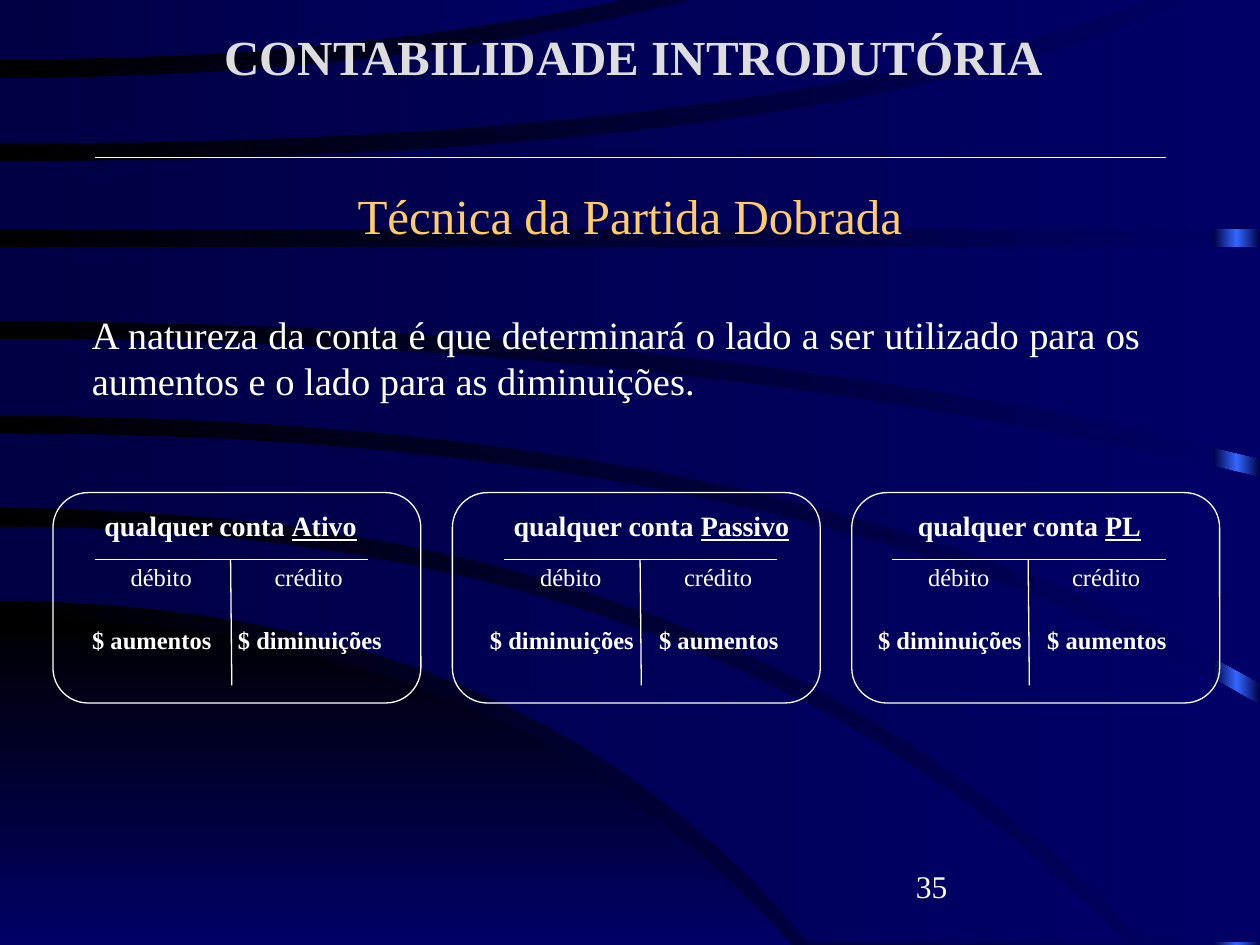
from copy import deepcopy
from dataclasses import dataclass

from lxml.etree import SubElement
from pptx import Presentation
from pptx.dml.color import RGBColor
from pptx.enum.shapes import MSO_CONNECTOR as Connector, MSO_SHAPE as Shape
from pptx.enum.text import MSO_ANCHOR as Anchor, PP_ALIGN as Align
from pptx.oxml.ns import qn
from pptx.slide import Slide
from pptx.util import Inches, Pt

BLACK = RGBColor(0x00, 0x00, 0x00)
NAVY = RGBColor(0x00, 0x00, 0x66)
DEEP_NAVY = RGBColor(0x00, 0x00, 0x44)
BLUE = RGBColor(0x33, 0x66, 0xFF)
WHITE = RGBColor(0xFF, 0xFF, 0xFF)
SILVER = RGBColor(0xDD, 0xDD, 0xDD)
GOLD = RGBColor(0xFF, 0xCC, 0x66)


@dataclass
class Edge:
    start_y: float
    bend_x: float
    end_x: float
    end_y: float

    def points(self, steps=20):
        for step in range(steps + 1):
            t = step / steps
            yield (2 * t * (1 - t) * self.bend_x + t * t * self.end_x,
                   self.start_y + t * t * (self.end_y - self.start_y))


CORNER = (Edge(4.91, 4, 6.28, 7.5), Edge(7.5, 4, 6.28, 7.5))
BANDS = [
    (Edge(4.18, 5.75, 8.93, 7.48), Edge(4.77, 4.17, 6.42, 7.48)),
    (Edge(3.44, 6.4, 10, 5.6), Edge(4.03, 5.89, 9.09, 7.48)),
    (Edge(2.69, 5.54, 10, 3.79), Edge(3.3, 6.3, 10, 5.42)),
    (Edge(1.96, 5, 10, 1.96), Edge(2.55, 5.7, 10, 3.64)),
    (Edge(1.28, 6.73, 9.43, -0.02), Edge(1.82, 5, 10, 1.82)),
    (Edge(0.62, 3.16, 5.56, -0.02), Edge(1.14, 6.15, 9.17, -0.02)),
    (Edge(-0.02, 2.5, 5.01, -0.02), Edge(0.47, 2.8, 5.01, -0.02)),
]

INCREASE = ("$ aumentos", 1.25)
DECREASE = ("$ diminuições", 1.42)
ACCOUNTS = [
    ("Ativo", 0.75, 0.33, (INCREASE, -0.17), (DECREASE, 1)),
    ("Passivo", 4, 3.67, (DECREASE, -0.25), (INCREASE, 1.08)),
    ("PL", 7.08, 6.67, (DECREASE, -0.25), (INCREASE, 1.08)),
]


@dataclass
class Painter:
    page: Slide
    font: str = "Times New Roman"
    ink: RGBColor = WHITE
    stroke: Pt = Pt(0.75)

    def gradient(self, fill, owner, colors, angle=0):
        fill.gradient()
        fill.gradient_angle = angle
        stop_list = owner.find(".//" + qn("a:gsLst"))
        while len(stop_list) < len(colors):
            stop_list.append(deepcopy(stop_list[-1]))
        for index, (stop, color) in enumerate(zip(fill.gradient_stops, colors)):
            stop.color.rgb = color
            stop.position = index / (len(colors) - 1)

    def backdrop(self, colors):
        self.gradient(self.page.background.fill, self.page._element, colors)

    def plain(self, shape, colors, angle=0):
        shape.shadow.inherit = False
        shape.line.fill.background()
        self.gradient(shape.fill, shape._element, colors, angle)

    def strip(self, left, top, width, height, colors):
        strip = self.page.shapes.add_shape(
            Shape.RECTANGLE, Inches(left), Inches(top), Inches(width), Inches(height))
        self.plain(strip, colors)

    def band(self, upper, lower, colors, angle=0):
        right = max(upper.end_x, lower.end_x)
        outline = [*upper.points(), (right, upper.end_y), (right, lower.end_y),
                   *reversed(list(lower.points()))]
        corners = [(Inches(x), Inches(y)) for x, y in outline]
        builder = self.page.shapes.build_freeform(*corners[0], scale=1)
        builder.add_line_segments(corners[1:], close=True)
        self.plain(builder.convert_to_shape(), colors, angle)

    def line(self, x1, y1, x2, y2):
        line = self.page.shapes.add_connector(
            Connector.STRAIGHT, Inches(x1), Inches(y1), Inches(x2), Inches(y2))
        line.line.color.rgb = self.ink
        line.line.width = self.stroke
        SubElement(line._element.spPr, qn("a:effectLst"))

    def frame(self, left, top, width, height):
        frame = self.page.shapes.add_shape(
            Shape.ROUNDED_RECTANGLE, Inches(left), Inches(top), Inches(width), Inches(height))
        frame.adjustments[0] = 0.167
        frame.shadow.inherit = False
        frame.fill.background()
        frame.line.color.rgb = self.ink
        frame.line.width = self.stroke

    def text(self, words, left, top, width, height, size, color=None, bold=False,
             align=Align.CENTER, before=0, anchor=Anchor.TOP, underlined=""):
        box = self.page.shapes.add_textbox(
            Inches(left), Inches(top), Inches(width), Inches(height))
        box.text_frame.word_wrap = True
        box.text_frame.vertical_anchor = anchor
        para = box.text_frame.paragraphs[0]
        para.alignment = align
        para.space_before = Pt(before)
        para.font.name = self.font
        para.font.size = Pt(size)
        para.font.bold = bold
        para.font.color.rgb = color or self.ink
        para.add_run().text = words
        if underlined:
            span = para.add_run()
            span.text = underlined
            span.font.underline = True

    def account(self, name, left, heading_left, debit, credit):
        self.line(left, 4.44, left + 2.17, 4.44)
        self.line(left + 1.08, 4.44, left + 1.09, 5.44)
        self.text("qualquer conta ", heading_left, 3.99, 3, 0.37, 16, bold=True,
                  underlined=name)
        for label, offset in (("débito", 0), ("crédito", 1.17)):
            self.text(label, left + offset, 4.41, 1.06, 0.33, 14, before=9)
        for (effect, width), offset in (debit, credit):
            self.text(effect, left + offset, 4.91, width, 0.33, 14, bold=True, before=9)


def main():
    deck = Presentation()
    deck.slide_width, deck.slide_height = Inches(10), Inches(7.5)
    painter = Painter(deck.slides.add_slide(deck.slide_layouts[6]))

    painter.backdrop([BLACK, NAVY])
    painter.strip(9.63, 0, 0.37, 7.5, [DEEP_NAVY, BLUE, DEEP_NAVY])
    painter.band(*CORNER, [BLACK, NAVY], angle=270)
    for upper, lower in BANDS:
        painter.band(upper, lower, [DEEP_NAVY, NAVY])

    painter.line(0.75, 1.25, 9.25, 1.25)
    painter.text("CONTABILIDADE INTRODUTÓRIA", 0.78, 0.16, 8.5, 1.25, 28, SILVER, bold=True)
    painter.text("35", 7.17, 6.83, 2.08, 0.5, 18, align=Align.LEFT)
    painter.text("Técnica da Partida Dobrada", 0.75, 1.42, 8.5, 0.57, 28, GOLD,
                 before=9, anchor=Anchor.MIDDLE)
    painter.text("A natureza da conta é que determinará o lado a ser utilizado para os "
                 "aumentos e o lado para as diminuições.",
                 0.63, 2.42, 8.52, 1.02, 22, align=Align.JUSTIFY)

    for account in ACCOUNTS:
        painter.account(*account)
    for column in range(len(ACCOUNTS)):
        painter.frame(0.42 + 3.17 * column, 3.91, 2.92, 1.67)

    deck.save("out.pptx")


if __name__ == "__main__":
    main()
